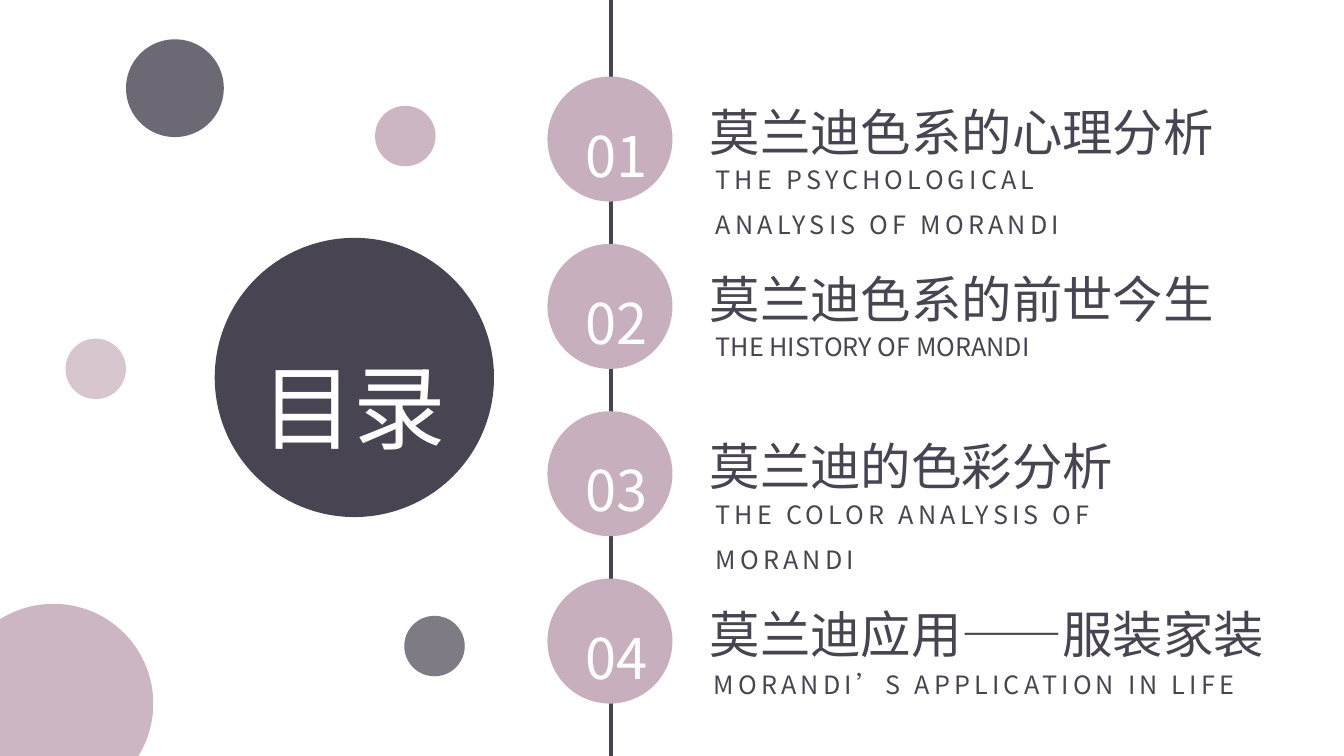
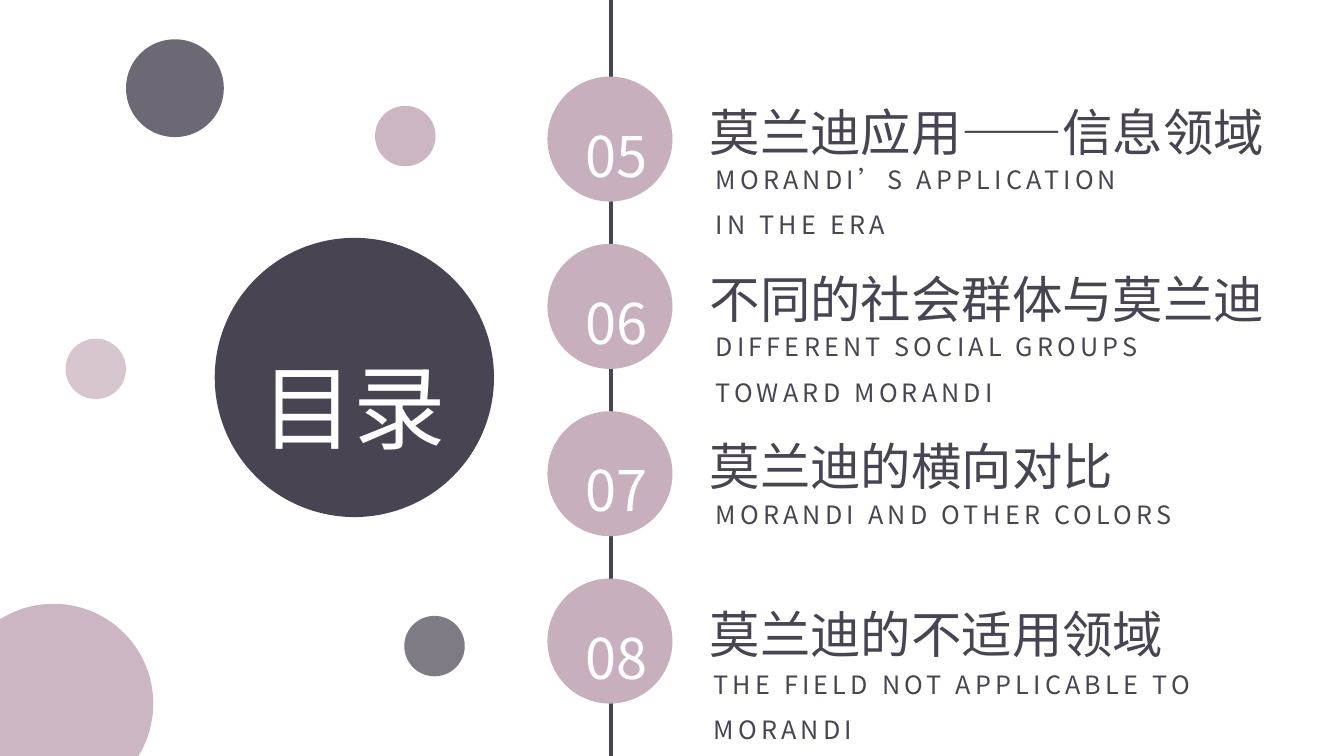
from lxml import etree
from pptx import Presentation
from pptx import util as u
from pptx.dml.color import RGBColor
from pptx.enum import lang, shapes, text
from pptx.oxml.ns import qn

COLORS = {"dark": "484452", "pink": "C7AFBD", "white": "FFFFFF"}
FONT = "Noto Sans CJK SC"
LINE_X = 6.06
ROW_X, ROW_TOP, ROW_PITCH, BADGE = 5.43, 0.76, 1.66, 1.24
SUB, LAST_SUB = (1.57, 0.67), (1.55, 0.70)
BUBBLES = [
    (1.25, 0.39, 0.97, "dark", 80),
    (0.65, 3.36, 0.6, "pink", 70),
    (-0.46, 5.99, 1.98, "pink", 90),
    (3.72, 1.05, 0.6, "pink", 90),
    (4.01, 6.11, 0.6, "dark", 70),
]
CONTENTS = [
    [
        ("莫兰迪色系的心理分析", "THE PSYCHOLOGICAL ANALYSIS OF MORANDI", 4.28, SUB, {"spc": 3}),
        ("莫兰迪色系的前世今生", "THE HISTORY OF MORANDI", 4.28, SUB,
         {"align": text.PP_ALIGN.JUSTIFY}),
        ("莫兰迪的色彩分析", "THE COLOR ANALYSIS OF MORANDI", 4.28, SUB, {"spc": 3}),
        ("莫兰迪应用——服装家装", "MORANDI’S APPLICATION IN LIFE", 6, LAST_SUB, {"spc": 3}),
    ],
    [
        ("莫兰迪应用——信息领域", "MORANDI’S APPLICATION IN THE ERA", 4.28, SUB, {"spc": 3}),
        ("不同的社会群体与莫兰迪", "DIFFERENT SOCIAL GROUPS TOWARD MORANDI", 5.29, SUB, {"spc": 3}),
        ("莫兰迪的横向对比", "MORANDI AND OTHER COLORS", 5.11, SUB, {"spc": 3}),
        ("莫兰迪的不适用领域", "THE FIELD NOT APPLICABLE TO MORANDI", 6, LAST_SUB, {"spc": 3}),
    ],
]


def rgb(name):
    """Return the palette colour of that name."""
    return RGBColor.from_string(COLORS[name])


def put_text(sp, words, size, color="dark", spc=0, align=text.PP_ALIGN.LEFT):
    """Write one formatted paragraph into a shape."""
    tf = sp.text_frame
    tf.word_wrap = True
    tf.auto_size = text.MSO_AUTO_SIZE.NONE
    tf.vertical_anchor = text.MSO_ANCHOR.TOP
    p = tf.paragraphs[0]
    p.alignment = align
    p.line_spacing = 1.5
    r = p.add_run()
    r.text = words
    r.font.size = u.Pt(size)
    r.font.name = FONT
    r.font.color.rgb = rgb(color)
    r.font.language_id = lang.MSO_LANGUAGE_ID.SIMPLIFIED_CHINESE
    rPr = r.font._element
    rPr.find(qn("a:latin")).addnext(etree.Element(qn("a:ea"), typeface=FONT))
    if spc:
        rPr.set("spc", str(spc * 100))


def add_text(s, x, y, w, h, words, size, **fmt):
    """Add a text box with formatted text."""
    sp = s.shapes.add_textbox(u.Inches(x), u.Inches(y), u.Inches(w), u.Inches(h))
    put_text(sp, words, size, **fmt)


def add_circle(s, x, y, d, color, alpha=100):
    """Add a filled circle without outline."""
    sp = s.shapes.add_shape(shapes.MSO_SHAPE.OVAL, u.Inches(x), u.Inches(y), u.Inches(d), u.Inches(d))
    sp.shadow.inherit = False
    sp.fill.solid()
    sp.fill.fore_color.rgb = rgb(color)
    sp.line.fill.background()
    if alpha < 100:
        clr = sp.element.spPr.find(".//" + qn("a:srgbClr"))
        etree.SubElement(clr, qn("a:alpha"), val=str(alpha * 1000))
    return sp


def add_title_disc(s, x, y, d):
    """Place the slide title on a large dark disc."""
    sp = add_circle(s, x, y, d, "dark")
    title = s.shapes.title
    title.left, title.top = u.Inches(x + 0.36), u.Inches(y + 0.51)
    title.width, title.height = u.Inches(2.05), u.Inches(1.57)
    put_text(title, "目录", 66, color="white")
    sp.element.addnext(title.element)


def add_spine(s, x, h):
    """Draw the vertical line that joins the badges."""
    ln = s.shapes.add_connector(shapes.MSO_CONNECTOR.STRAIGHT, u.Inches(x), 0, u.Inches(x), h)
    ln.line.color.rgb = rgb("dark")
    ln.line.width = u.Pt(3)
    etree.SubElement(ln.element.spPr, qn("a:effectLst"))


def add_entry(s, x, y, number, heading, sub, sub_w, sub_at, sub_fmt):
    """Add a numbered badge with its heading and English subtitle."""
    add_circle(s, x, y, BADGE, "pink")
    add_text(s, x + 0.28, y + 0.06, 0.86, 0.99, f"{number:02d}", 40, color="white")
    add_text(s, x + 1.51, y - 0.11, 5.84, 1.01, heading, 36)
    dx, dy = sub_at
    add_text(s, x + dx, y + dy, sub_w, 1.01, sub, 18, **sub_fmt)


def add_contents_slide(prs, entries, first):
    """Build one contents slide, numbering entries from first."""
    s = prs.slides.add_slide(prs.slide_layouts[5])
    add_title_disc(s, 2.13, 2.36, 2.77)
    add_spine(s, LINE_X, prs.slide_height)
    for i, entry in enumerate(entries):
        add_entry(s, ROW_X, ROW_TOP + i * ROW_PITCH, first + i, *entry)
    for bubble in BUBBLES:
        add_circle(s, *bubble)


def main():
    """Build and save the presentation."""
    prs = Presentation()
    prs.slide_width, prs.slide_height = u.Inches(13.33), u.Inches(7.5)
    first = 1
    for entries in CONTENTS:
        add_contents_slide(prs, entries, first)
        first += len(entries)
    prs.save("out.pptx")


if __name__ == "__main__":
    main()
